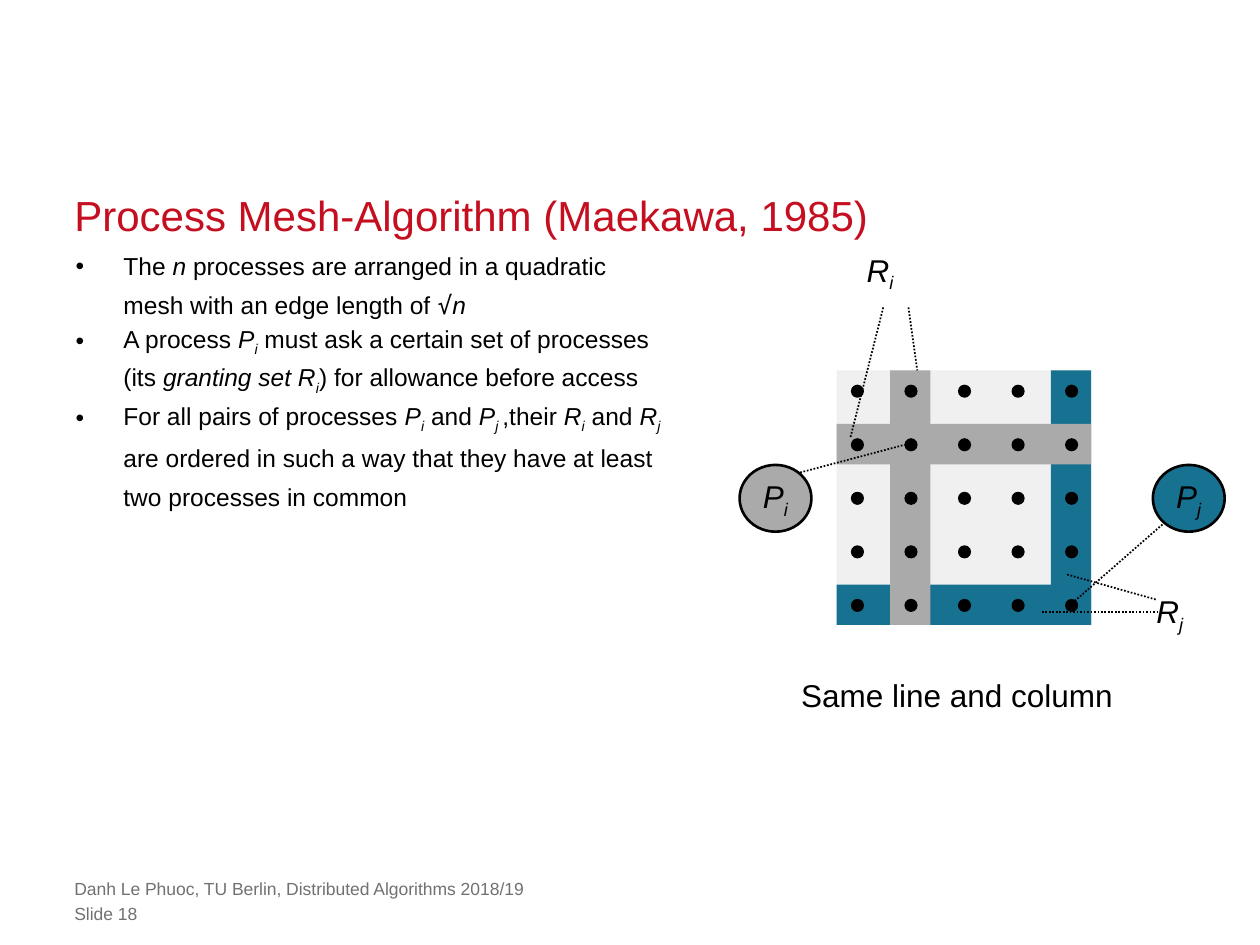
import itertools

import pptx
import pptx.dml.color
import pptx.enum.dml
import pptx.enum.shapes
import pptx.enum.text
import pptx.oxml
import pptx.util
from pptx.util import Inches

BLACK, RED, FOOT = "000000", "C50E1F", "717171"
PALE, GRAY, BLUE = "F0F0F0", "AAAAAA", "177191"
RECT = pptx.enum.shapes.MSO_SHAPE.RECTANGLE
OVAL = pptx.enum.shapes.MSO_SHAPE.OVAL
ANCHOR = pptx.enum.text.MSO_ANCHOR

# Formats of a piece of text; "baseline" is in thousandths of a percent.
PLAIN = {}
ITALIC = {"italic": True}
SUB = {"italic": True, "baseline": -25000}
MONO = {"name": "DejaVu Sans Mono"}

BULLETS = [
    [("The ", PLAIN), ("n", ITALIC),
     (" processes are arranged in a quadratic mesh with an edge length of ", PLAIN),
     ("√", MONO), ("n", ITALIC)],
    [("A process ", PLAIN), ("P", ITALIC), ("i", SUB),
     (" must ask a certain set of processes (its ", PLAIN),
     ("granting set R", ITALIC), ("i", SUB),
     (") for allowance before access", PLAIN)],
    [("For all pairs of processes ", PLAIN), ("P", ITALIC), ("i", SUB),
     (" and ", PLAIN), ("P", ITALIC), ("j ", SUB), (",their ", PLAIN),
     ("R", ITALIC), ("i", SUB), (" and ", PLAIN), ("R", ITALIC), ("j", SUB),
     (" are ordered in such a way that they have at least two processes in common",
      PLAIN)],
]

MESH_LEFT, MESH_TOP, MESH_SIZE, BAND = 6.64, 2.94, 2.02, 0.32
DOT, PITCH, EDGE = 0.09, 0.425, 0.12


def color(value):
    return pptx.dml.color.RGBColor.from_string(value)


def add_spans(para, pieces, size, tint):
    for words, changes in pieces:
        span = para.add_run()
        span.text = words
        formats = {"name": "Arial", "size": pptx.util.Pt(size), "italic": False} | changes
        baseline = formats.pop("baseline", None)
        for key, value in formats.items():
            setattr(span.font, key, value)
        span.font.color.rgb = color(tint)
        if baseline:
            span.font._element.set("baseline", str(baseline))


def set_frame(frame, inset=(0, 0), wrap=True, anchor=ANCHOR.TOP):
    across, down = map(Inches, inset)
    formats = {"margin_left": across, "margin_right": across, "margin_top": down,
               "margin_bottom": down, "word_wrap": wrap, "vertical_anchor": anchor}
    for key, value in formats.items():
        setattr(frame, key, value)


def add_text(page, place, pieces, size, tint=BLACK, spacing=None, **frame_formats):
    box = page.shapes.add_textbox(*map(Inches, place))
    set_frame(box.text_frame, **frame_formats)
    para = box.text_frame.paragraphs[0]
    if spacing:
        para.line_spacing = pptx.util.Pt(spacing)
    add_spans(para, pieces, size, tint)


def add_bullets(page, place, items):
    box = page.shapes.add_textbox(*map(Inches, place))
    frame = box.text_frame
    set_frame(frame)
    for number, pieces in enumerate(items):
        para = frame.add_paragraph() if number else frame.paragraphs[0]
        para.line_spacing = pptx.util.Pt(22)
        props = para._p.get_or_add_pPr()
        props.set("marL", str(Inches(0.38)))
        props.set("indent", str(Inches(-0.38)))
        for tag, key, value in (("a:buFont", "typeface", "Arial"),
                                ("a:buChar", "char", "•")):
            mark = pptx.oxml.xmlchemy.OxmlElement(tag)
            mark.set(key, value)
            props.append(mark)
        add_spans(para, pieces, 14, BLACK)


def add_shape(page, kind, place, fill, line_width=None):
    shape = page.shapes.add_shape(kind, *map(Inches, place))
    shape.shadow.inherit = False
    shape.fill.solid()
    shape.fill.fore_color.rgb = color(fill)
    if line_width:
        shape.line.color.rgb = color(BLACK)
        shape.line.width = pptx.util.Pt(line_width)
    else:
        shape.line.fill.background()
    return shape


def add_process(page, left, index, fill):
    shape = add_shape(page, OVAL, (left, 3.69, 0.57, 0.53), fill, 1.5)
    set_frame(shape.text_frame, (0.1, 0.05), False, ANCHOR.MIDDLE)
    para = shape.text_frame.paragraphs[0]
    para.alignment = pptx.enum.text.PP_ALIGN.CENTER
    add_spans(para, [("P", ITALIC), (index, SUB)], 18, BLACK)


def add_dotted_line(page, *ends):
    line = page.shapes.add_connector(
        pptx.enum.shapes.MSO_CONNECTOR.STRAIGHT, *map(Inches, ends))
    line.line.color.rgb = color(BLACK)
    line.line.width = pptx.util.Pt(1)
    line.line.dash_style = pptx.enum.dml.MSO_LINE.ROUND_DOT
    line._element.spPr.append(pptx.oxml.xmlchemy.OxmlElement("a:effectLst"))


def add_mesh(page):
    def row(top, fill):
        add_shape(page, RECT, (MESH_LEFT, top, MESH_SIZE, BAND), fill)

    def column(left, fill):
        add_shape(page, RECT, (left, MESH_TOP, BAND, MESH_SIZE), fill)

    add_shape(page, RECT, (MESH_LEFT, MESH_TOP, MESH_SIZE, MESH_SIZE), PALE)
    row(MESH_TOP + 4 * PITCH, BLUE)
    column(MESH_LEFT + 4 * PITCH, BLUE)
    column(MESH_LEFT + PITCH, GRAY)
    row(MESH_TOP + PITCH, GRAY)
    for down, across in itertools.product(range(5), repeat=2):
        place = (MESH_LEFT + EDGE + across * PITCH,
                 MESH_TOP + EDGE + down * PITCH, DOT, DOT)
        add_shape(page, OVAL, place, BLACK, 1)


def main():
    deck = pptx.Presentation()
    deck.slide_width, deck.slide_height = Inches(10), Inches(7.5)
    page = deck.slides.add_slide(deck.slide_layouts[6])

    add_text(page, (0.59, 1.48, 8.82, 0.42),
             [("Process Mesh-Algorithm (Maekawa, 1985)", PLAIN)], 24, RED,
             spacing=30, anchor=ANCHOR.BOTTOM)
    add_bullets(page, (0.6, 1.92, 4.66, 5.09), BULLETS)

    add_mesh(page)
    add_process(page, 5.87, "i", GRAY)
    add_process(page, 9.15, "j", BLUE)
    for ends in ((7.21, 2.44, 7.28, 2.94), (7.01, 2.44, 6.75, 3.47),
                 (6.35, 3.75, 7.18, 3.53), (8.53, 4.77, 9.24, 4.15),
                 (8.47, 4.56, 9.18, 4.76), (8.27, 4.86, 9.18, 4.86)):
        add_dotted_line(page, *ends)
    for left, top, width, pieces in (
            (6.78, 1.94, 0.42, [("R", ITALIC), ("i", SUB)]),
            (9.08, 4.65, 0.42, [("R", ITALIC), ("j", SUB)]),
            (6.26, 5.32, 2.7, [("Same line and column", PLAIN)])):
        add_text(page, (left, top, width, 0.4), pieces, 18,
                 inset=(0.1, 0.05), wrap=False)

    for top, words in (
            (6.97, "Danh Le Phuoc, TU Berlin, Distributed Algorithms 2018/19"),
            (7.17, "Slide 18")):
        add_text(page, (0.59, top, 7.24, 0.17), [(words, PLAIN)], 10, FOOT)

    deck.save("out.pptx")


if __name__ == "__main__":
    main()
